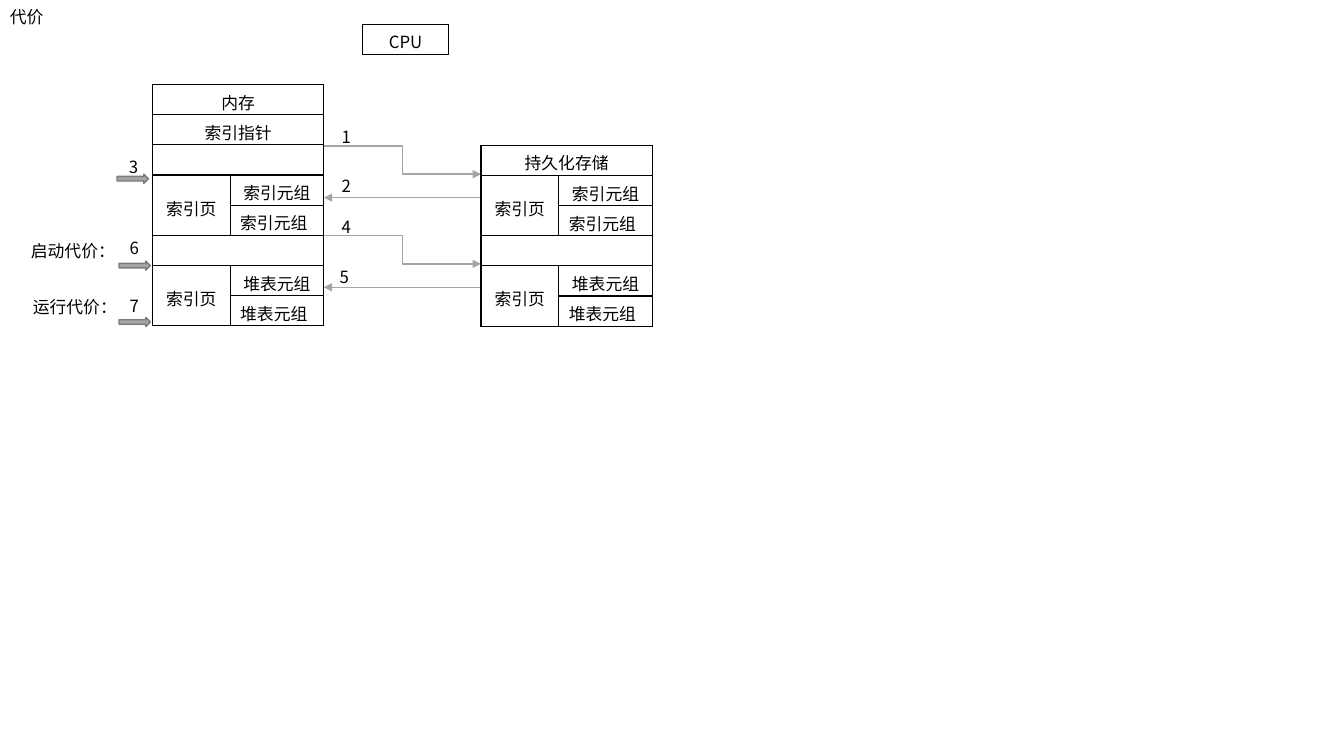
"""Build the slide on index cost: memory, storage and the steps between them."""
from lxml.etree import SubElement
from pptx import Presentation
from pptx.dml.color import RGBColor
from pptx.enum.shapes import MSO_CONNECTOR, MSO_SHAPE
from pptx.enum.text import MSO_ANCHOR, PP_ALIGN
from pptx.oxml.ns import qn
from pptx.util import Cm, Pt

COLORS = {"ink": "000000", "flow": "A5A5A5", "arrow_edge": "7A7A7A"}
FONT = "Noto Sans CJK SC"
ROW = 0.76
PAGE_WIDTH, TUPLE_WIDTH = 1.96, 2.36
MEMORY_LEFT, STORAGE_LEFT = 3.84, 12.12
MEMORY_RIGHT = MEMORY_LEFT + PAGE_WIDTH + TUPLE_WIDTH

INDEX_PAGE = ("索引页", "索引元组")
HEAP_PAGE = ("索引页", "堆表元组")
MEMORY = ["内存", "索引指针", "", INDEX_PAGE, "", HEAP_PAGE]
STORAGE = ["持久化存储", INDEX_PAGE, "", HEAP_PAGE]

LABELS = [
    ("1", 8.36, 3.07, 0.79),
    ("2", 8.36, 4.29, 0.79),
    ("3", 3.0, 3.81, 0.79),
    ("4", 8.36, 5.33, 0.79),
    ("5", 8.31, 6.6, 0.79),
    ("6", 3.02, 5.87, 0.79),
    ("7", 3.02, 7.32, 0.79),
    ("启动代价：", 0.53, 5.94, 2.62),
    ("运行代价：", 0.58, 7.34, 2.62),
]
REQUESTS = [(3.68, 4.39), (5.94, 6.65)]
REPLIES = [4.98, 7.24]
STEP_ARROWS = [(2.95, 4.39), (3.0, 6.58), (3.0, 8.0)]


def rgb(name):
    """Return the named colour."""
    return RGBColor.from_string(COLORS[name])


def write(frame, text, align=PP_ALIGN.LEFT, size=12, color="ink"):
    """Put one formatted line of text in a frame."""
    paragraph = frame.paragraphs[0]
    paragraph.alignment = align
    if not text:
        SubElement(paragraph._p, qn("a:endParaRPr"), sz=str(size * 100))
        return
    run = paragraph.add_run()
    run.text = text
    run.font.name, run.font.size, run.font.bold = FONT, Pt(size), False
    run.font.color.rgb = rgb(color)
    SubElement(run._r.get_or_add_rPr(), qn("a:ea"), typeface=FONT)


def fit_frame(frame):
    """Give a text frame wrapping, a top anchor and small margins."""
    frame.word_wrap = True
    frame.vertical_anchor = MSO_ANCHOR.TOP
    frame.margin_left, frame.margin_right = Cm(0.25), 0
    frame.margin_top = frame.margin_bottom = Cm(0.13)


def add_label(slide, text, left, top, width):
    """Add a plain text label."""
    label = slide.shapes.add_textbox(Cm(left), Cm(top), Cm(width), Cm(ROW))
    fit_frame(label.text_frame)
    write(label.text_frame, text)


def style_cell(cell):
    """Give a cell black borders, no fill and tight margins."""
    properties = cell._tc.get_or_add_tcPr()
    for side in ("lnL", "lnR", "lnT", "lnB"):
        border = SubElement(properties, qn(f"a:{side}"), w=str(Pt(1)))
        fill = SubElement(border, qn("a:solidFill"))
        SubElement(fill, qn("a:srgbClr"), val=COLORS["ink"])
    cell.fill.background()
    cell.margin_top, cell.margin_bottom = Cm(0.13), 0


def add_grid(slide, left, top, widths, row_count):
    """Add an unstyled table with equal rows and return it."""
    grid = slide.shapes.add_table(row_count, len(widths), Cm(left), Cm(top),
                                  Cm(sum(widths)), Cm(ROW * row_count)).table
    grid.first_row = grid.horz_banding = False
    for column, width in zip(grid.columns, widths):
        column.width = Cm(width)
    for row in grid.rows:
        row.height = Cm(ROW)
    for cell in grid.iter_cells():
        style_cell(cell)
    return grid


def add_store(slide, left, top, blocks):
    """Add a store whose blocks are full rows or pages of two tuples."""
    row_count = sum(1 if isinstance(block, str) else 2 for block in blocks)
    store = add_grid(slide, left, top, [PAGE_WIDTH, TUPLE_WIDTH], row_count)
    row = 0
    for block in blocks:
        head, side = store.cell(row, 0), store.cell(row, 1)
        if isinstance(block, str):
            head.merge(side)
            write(head.text_frame, block, align=PP_ALIGN.CENTER)
            write(side.text_frame, "")
            row += 1
        else:
            page, item = block
            below = store.cell(row + 1, 0)
            head.merge(below)
            head.vertical_anchor = MSO_ANCHOR.MIDDLE
            write(head.text_frame, page, align=PP_ALIGN.CENTER)
            write(below.text_frame, "")
            write(side.text_frame, item, align=PP_ALIGN.CENTER)
            write(store.cell(row + 1, 1).text_frame, item)
            row += 2


def add_flow(slide, kind, start, end):
    """Add a grey connector with an arrowhead at its end."""
    flow = slide.shapes.add_connector(kind, *map(Cm, start + end))
    flow.line.color.rgb = rgb("flow")
    flow.line.width = Pt(1)
    SubElement(flow.line._get_or_add_ln(), qn("a:tailEnd"), type="triangle")
    SubElement(flow._element.spPr, qn("a:effectLst"))


def add_step_arrow(slide, left, top):
    """Add a small block arrow pointing at the memory."""
    arrow = slide.shapes.add_shape(MSO_SHAPE.RIGHT_ARROW, Cm(left), Cm(top),
                                   Cm(0.79), Cm(0.23))
    arrow.shadow.inherit = False
    arrow.fill.solid()
    arrow.fill.fore_color.rgb = rgb("flow")
    arrow.line.color.rgb = rgb("arrow_edge")
    arrow.line.width = Pt(1)


def main():
    """Build and save the slide."""
    deck = Presentation()
    deck.slide_width, deck.slide_height = Cm(33.87), Cm(19.05)
    slide = deck.slides.add_slide(deck.slide_layouts[5])
    title = slide.shapes.title
    title.left, title.top, title.width, title.height = map(Cm, (0, 0.05, 2.62, ROW))
    fit_frame(title.text_frame)
    write(title.text_frame, "代价")

    add_store(slide, MEMORY_LEFT, 2.13, MEMORY)
    for start, end in REQUESTS:
        add_flow(slide, MSO_CONNECTOR.ELBOW, (MEMORY_RIGHT, start), (STORAGE_LEFT, end))
    for level in REPLIES:
        add_flow(slide, MSO_CONNECTOR.STRAIGHT, (STORAGE_LEFT, level), (MEMORY_RIGHT, level))
    add_store(slide, STORAGE_LEFT, 3.66, STORAGE)

    cpu = add_grid(slide, 9.14, 0.61, [2.16], 1).cell(0, 0)
    write(cpu.text_frame, "CPU", align=PP_ALIGN.CENTER)
    for place in STEP_ARROWS:
        add_step_arrow(slide, *place)
    for label in LABELS:
        add_label(slide, *label)
    deck.save("out.pptx")


main()
